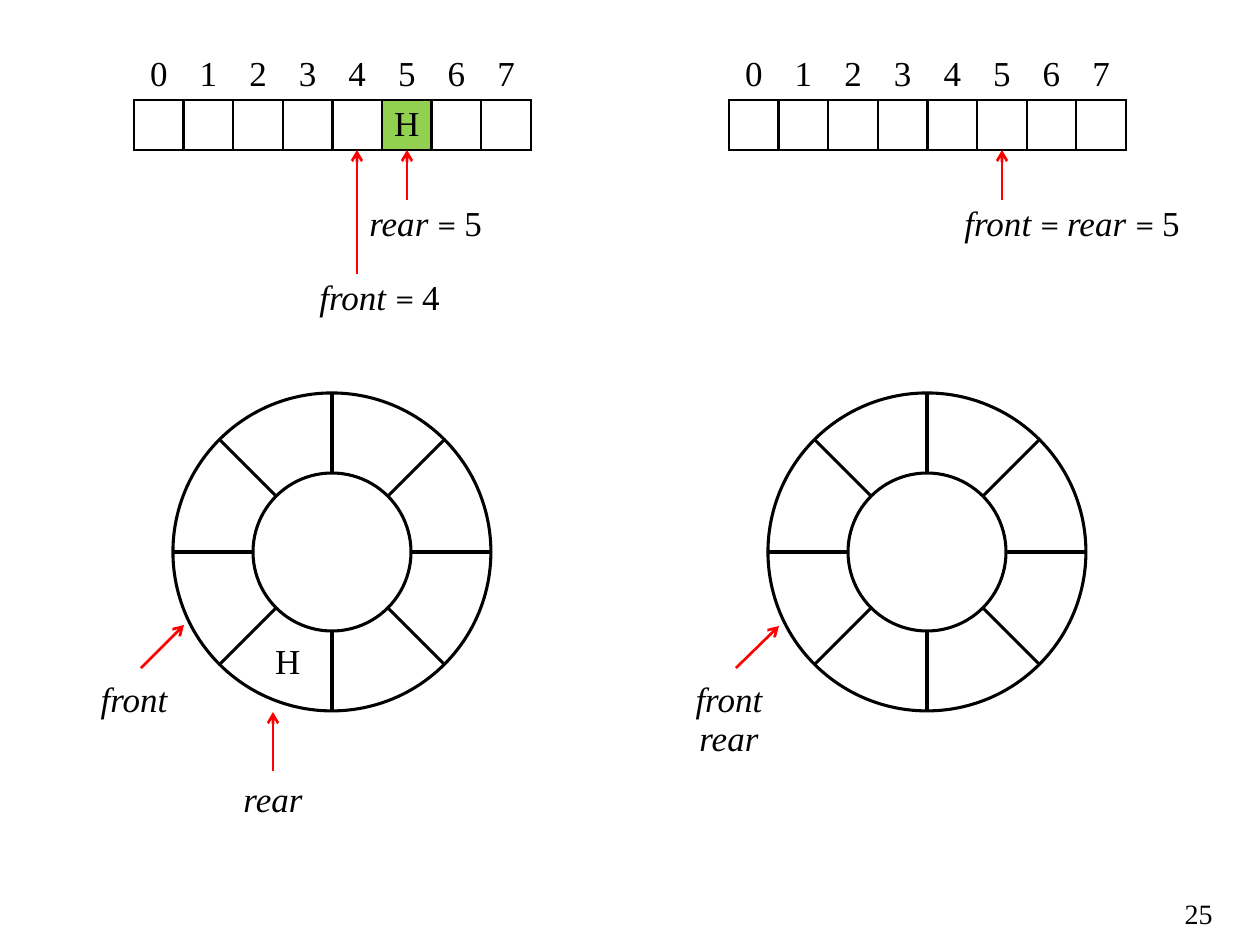
import math
from dataclasses import dataclass

import pptx
import pptx.dml.color
import pptx.enum.shapes
import pptx.enum.text
import pptx.oxml
import pptx.oxml.ns
import pptx.util

PAGE = "25"
SHIFT = 595  # from one panel to the next
LEFT, TOP, WIDE, ROW, COUNT = 134, 50, 397, 50, 8
MID_X, MID_Y, OUTER, INNER = 332, 552, 159, 79

# Notes are (text, box); arrows are (start, end); all lie within the panel.
PANELS = [
    {
        "items": {5: "H"},
        "notes": [("front = 4", (307, 274, 174, 50)),
                  ("rear = 5", (357, 200, 149, 50))],
        "tags": [("front", (74, 671, 120, 59)), ("rear", (213, 771, 120, 59))],
        "ring": [("H", (253, 631, 60, 60))],
        "arrows": [((357, 274), (357, 150)), ((407, 200), (407, 150)),
                   ((141, 668), (184, 625)), ((273, 771), (273, 712))],
    },
    {
        "items": {},
        "notes": [("front = rear = 5", (357, 200, 274, 50))],
        "tags": [("front", (74, 671, 120, 59)), ("rear", (74, 710, 120, 59))],
        "ring": [],
        "arrows": [((407, 200), (407, 150)), ((141, 668), (184, 626))],
    },
]


def tint(code):
    return pptx.dml.color.RGBColor.from_string(code)


@dataclass(frozen=True)
class Theme:
    ink: str = "000000"
    paper: str = "FFFFFF"
    full: str = "92D050"
    arrow: str = "FF0000"
    font: str = "Times New Roman"
    sign: str = "Cambria"
    text: int = 20
    page: int = 16
    ring: float = 1.75
    thin: float = 1.5


THEME = Theme()
ALIGN = pptx.enum.text.PP_ALIGN
ANCHOR = pptx.enum.text.MSO_ANCHOR


def px(value):
    return round(value * 914400 / 126)


def write(frame, text, size=THEME.text, align=ALIGN.LEFT):
    """Set names in italics and equal signs in their own font."""
    line = frame.paragraphs[0]
    line.alignment = align
    line.font.size = pptx.util.Pt(size)
    words = text.split()
    for at, word in enumerate(words, 1):
        run = line.add_run()
        run.text = word if at == len(words) else word + " "
        font = run.font
        font.name = THEME.sign if word == "=" else THEME.font
        font.size = pptx.util.Pt(size)
        font.bold = False
        font.italic = word.islower()
        font.color.rgb = tint(THEME.ink)


def label(slide, text, box, dx=0, wrap=False, anchor=ANCHOR.TOP, **style):
    x, y, wide, high = box
    frame = slide.shapes.add_textbox(px(x + dx), px(y), px(wide), px(high)).text_frame
    frame.word_wrap = wrap
    frame.vertical_anchor = anchor
    write(frame, text, **style)


def stroke(slide, start, end, dx, color=THEME.ink, width=THEME.ring, head=False):
    (x1, y1), (x2, y2) = start, end
    line = slide.shapes.add_connector(
        pptx.enum.shapes.MSO_CONNECTOR.STRAIGHT,
        px(x1 + dx), px(y1), px(x2 + dx), px(y2))
    line.line.color.rgb = tint(color)
    line.line.width = pptx.util.Pt(width)
    props = line._element.spPr
    if head:
        tip = pptx.oxml.parse_xml(
            f'<a:tailEnd {pptx.oxml.ns.nsdecls("a")} type="arrow"/>')
        line.line._get_or_add_ln().append(tip)
    props.append(pptx.oxml.parse_xml(f'<a:effectLst {pptx.oxml.ns.nsdecls("a")}/>'))


def disc(slide, radius, dx, fill=None):
    shape = slide.shapes.add_shape(
        pptx.enum.shapes.MSO_SHAPE.OVAL, px(MID_X - radius + dx),
        px(MID_Y - radius), px(2 * radius), px(2 * radius))
    shape.shadow.inherit = False
    if fill:
        shape.fill.solid()
        shape.fill.fore_color.rgb = tint(fill)
    else:
        shape.fill.background()
    shape.line.color.rgb = tint(THEME.ink)
    shape.line.width = pptx.util.Pt(THEME.ring)


def ring(slide, dx):
    disc(slide, OUTER, dx)
    for part in range(COUNT // 2):
        angle = 2 * math.pi * part / COUNT
        x, y = OUTER * math.cos(angle), OUTER * math.sin(angle)
        stroke(slide, (MID_X - x, MID_Y - y), (MID_X + x, MID_Y + y), dx)
    disc(slide, INNER, dx, THEME.paper)


def edge(cell, sides):
    props = cell._tc.get_or_add_tcPr()
    for at, side in enumerate(sides):
        props.insert(at, pptx.oxml.parse_xml(
            f'<a:ln{side} {pptx.oxml.ns.nsdecls("a")} w="{pptx.util.Pt(THEME.thin)}">'
            f'<a:solidFill><a:srgbClr val="{THEME.ink}"/></a:solidFill></a:ln{side}>'))


def queue(slide, items, dx):
    table = slide.shapes.add_table(
        2, COUNT, px(LEFT + dx), px(TOP), px(WIDE), px(2 * ROW)).table
    table.first_row = table.horz_banding = False
    plain = "{2D5ABB26-0587-4C30-8999-92F81FD0307C}"
    table._tbl.tblPr.find(pptx.oxml.ns.qn("a:tableStyleId")).text = plain
    for spot in range(COUNT):
        table.columns[spot].width = px(WIDE / COUNT)
        item = items.get(spot, "")
        for row, text in enumerate((str(spot), item)):
            cell = table.cell(row, spot)
            cell.margin_left = cell.margin_right = 0
            cell.margin_top = cell.margin_bottom = 0
            cell.vertical_anchor = ANCHOR.MIDDLE
            write(cell.text_frame, text, align=ALIGN.CENTER)
            if row:
                cell.fill.solid()
                cell.fill.fore_color.rgb = tint(THEME.full if item else THEME.paper)
            else:
                cell.fill.background()
            edge(cell, "LRTB" if row else "B")


def main():
    deck = pptx.Presentation()
    deck.slide_width, deck.slide_height = px(1260), px(945)
    slide = deck.slides.add_slide(deck.slide_layouts[6])
    for place, panel in enumerate(PANELS):
        dx = place * SHIFT
        ring(slide, dx)
        queue(slide, panel["items"], dx)
        for text, box in panel["ring"]:
            label(slide, text, box, dx, anchor=ANCHOR.MIDDLE, align=ALIGN.RIGHT)
        for text, box in panel["tags"]:
            label(slide, text, box, dx, align=ALIGN.CENTER)
        for text, box in panel["notes"]:
            label(slide, text, box, dx, wrap=True, anchor=ANCHOR.BOTTOM)
        for start, end in panel["arrows"]:
            stroke(slide, start, end, dx, THEME.arrow, THEME.thin, head=True)
    label(slide, PAGE, (1165, 890, 60, 40), wrap=True, size=THEME.page, align=ALIGN.RIGHT)
    deck.save("out.pptx")


if __name__ == "__main__":
    main()
